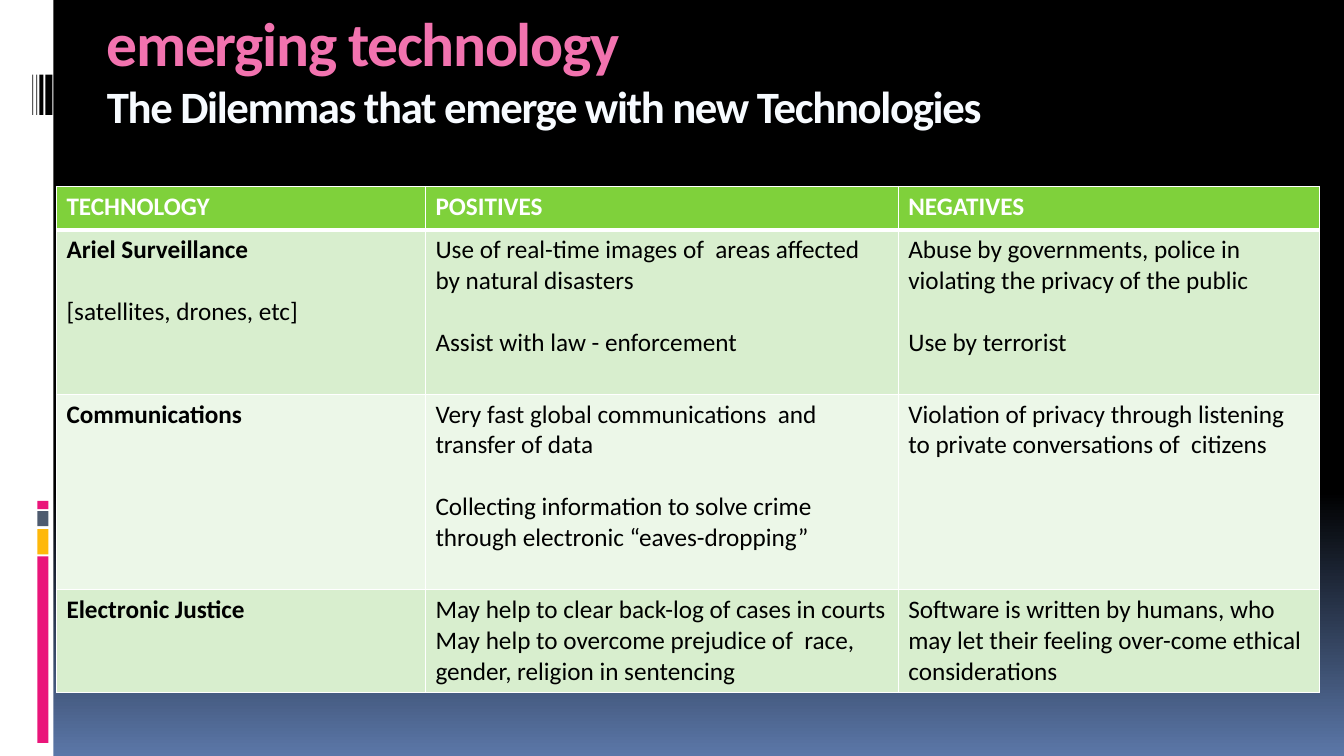
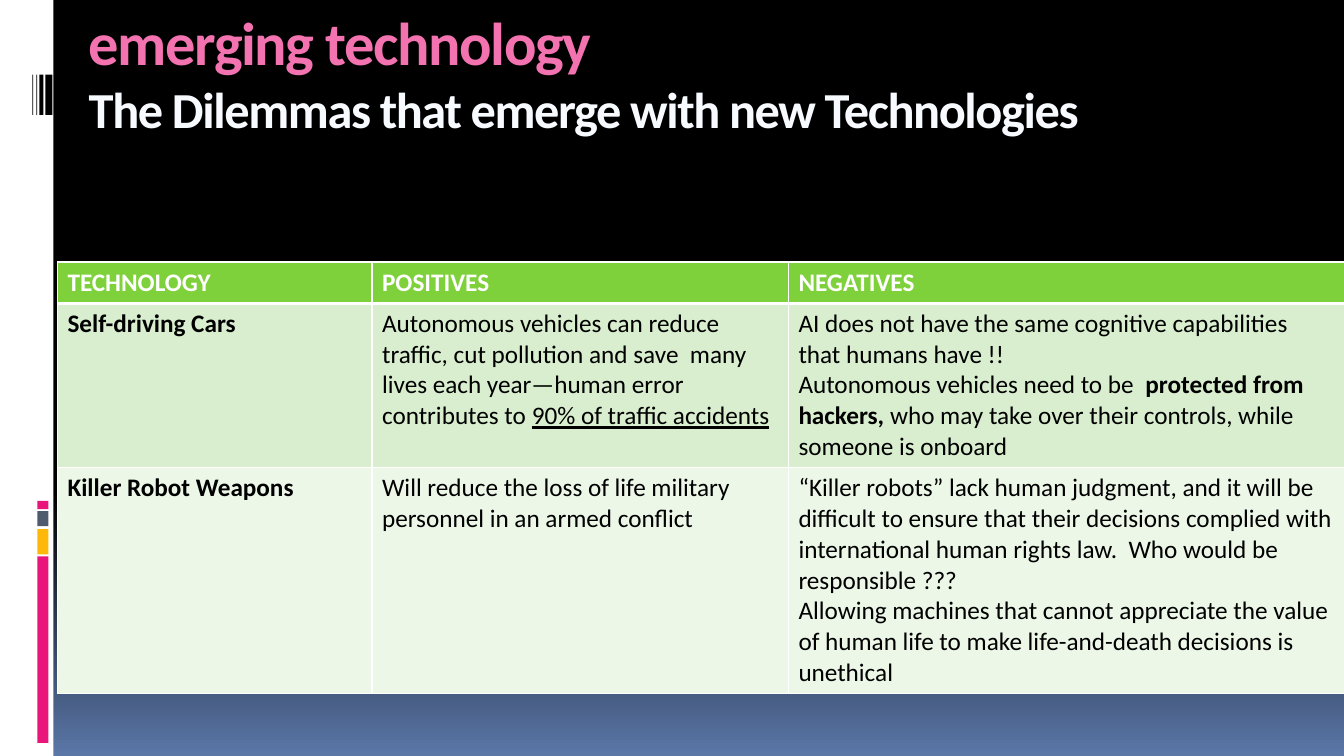
import pptx
import pptx.dml.color
import pptx.enum.shapes
import pptx.enum.text
import pptx.oxml
import pptx.oxml.ns
import pptx.util

Inches, Pt = pptx.util.Inches, pptx.util.Pt

FONT = "Calibri"
BLACK, WHITE = "000000", "FFFFFF"
PINK, AMBER, SLATE, SKY = "EA157A", "FEB80A", "4E5B6F", "5B77A8"
TITLE_PINK, TITLE_WHITE = "F273AF", "F7FBFF"
HEADER_GREEN, ROW_GREENS = "7FD13B", ("D8EECE", "ECF7E8")

TITLE = ("emerging technology", "The Dilemmas that emerge with new Technologies")
HEADERS = ("TECHNOLOGY", "POSITIVES", "NEGATIVES")
BOLD, UNDERLINE = {"bold": True}, {"underline": True}

# left, top, width, height, colour
SIDE_BAND = [(0, 0, 0.53, 7.5, WHITE)]
COLOUR_BARS = [(0.37, top, 0.11, height, colour) for top, height, colour in (
    (5.52, 1.85, PINK), (5.25, 0.25, AMBER), (5.07, 0.15, SLATE), (4.97, 0.08, PINK))]
BLACK_STRIPES = [(left, 0.74, width, 0.4, BLACK) for left, width in (
    (0.45, 0.07), (0.39, 0.04), (0.36, 0.01), (0.32, 0.01))]

# A cell is a list of paragraphs, a paragraph a list of (text, format) runs.
# "gap" is the space in points between the paragraphs of a row's cells.
SLIDES = [
    {
        "title_box": (0.96, 0, 10.71, 1.67), "title_sizes": (44, 32),
        "table_at": (0.56, 1.85), "columns": (3.66, 4.69, 4.18), "header_height": 0.43,
        "rows": [
            {"height": 1.63, "gap": 22, "cells": [
                [[("Ariel Surveillance", BOLD)], [("[satellites, drones, etc]", {})]],
                [[("Use of real-time images of  areas affected by natural disasters", {})],
                 [("Assist with law - enforcement", {})]],
                [[("Abuse by governments, police in violating the privacy of the public", {})],
                 [("Use by terrorist", {})]]]},
            {"height": 1.94, "gap": 22, "cells": [
                [[("Communications", BOLD)]],
                [[("Very fast global communications  and transfer of data", {})],
                 [("Collecting information to solve crime through electronic “eaves-dropping”", {})]],
                [[("Violation of privacy through listening to private conversations of  citizens", {})]]]},
            {"height": 1.02, "gap": 0, "cells": [
                [[("Electronic Justice", BOLD)]],
                [[("May help to clear back-log of cases in courts", {})],
                 [("May help to overcome prejudice of  race, gender, religion in sentencing", {})]],
                [[("Software is written by humans, who may let their feeling over-come "
                   "ethical considerations", {})]]]},
        ],
    },
    {
        "title_box": (0.78, 0, 10.8, 1.65), "title_sizes": (43.2, 36),
        "table_at": (0.57, 2.6), "columns": (3.12, 4.13, 5.52), "header_height": 0.41,
        "rows": [
            {"height": 1.63, "gap": 0, "cells": [
                [[("Self-driving Cars", BOLD)]],
                [[("Autonomous vehicles can reduce traffic, cut pollution and save  many lives "
                   "each year—human error contributes to ", {}),
                  ("90% of traffic accidents", UNDERLINE)]],
                [[("AI does not have the same cognitive capabilities that humans have !!", {})],
                 [("Autonomous vehicles need to be  ", {}), ("protected from hackers, ", BOLD),
                  ("who may take over their controls, while someone is onboard", {})]]]},
            {"height": 2.23, "gap": 0, "cells": [
                [[("Killer Robot Weapons", BOLD)]],
                [[("Will reduce the loss of life military personnel in an armed conflict", {})]],
                [[("“Killer robots” lack human judgment, and it will be difficult to ensure that "
                   "their decisions complied with international human rights law.  Who would be "
                   "responsible ???", {})],
                 [("Allowing machines that cannot appreciate the value of human life to make "
                   "life-and-death decisions is unethical", {})]]]},
        ],
    },
]


def rgb(colour):
    return pptx.dml.color.RGBColor.from_string(colour)


def add_run(paragraph, text, size, colour, **formats):
    run = paragraph.add_run()
    run.text = text
    run.font.color.rgb = rgb(colour)
    values = {"name": FONT, "size": Pt(size), "bold": False, **formats}
    for name, value in values.items():
        setattr(run.font, name, value)
    return run


def set_background(master):
    fill = master.background.fill
    fill.gradient()
    fill.gradient_angle = 270
    for stop, position, colour in zip(fill.gradient_stops, (0.65, 1), (BLACK, SKY)):
        stop.position = position
        stop.color.rgb = rgb(colour)


def decorate_layout(layout, slide):
    """Draw the side band on a slide, then move it to the layout all slides share."""
    for number, (*box, colour) in enumerate(SIDE_BAND + COLOUR_BARS + BLACK_STRIPES):
        shape = slide.shapes.add_shape(
            pptx.enum.shapes.MSO_SHAPE.RECTANGLE, *map(Inches, box))
        shape.shadow.inherit = False
        shape.fill.solid()
        shape.fill.fore_color.rgb = rgb(colour)
        shape.line.fill.background()
        shape.element.nvSpPr.cNvPr.id = 100 + number
        layout.shapes.element.append(shape.element)


def write_title(title, box, sizes):
    title.left, title.top, title.width, title.height = map(Inches, box)
    frame = title.text_frame
    frame.word_wrap = True
    frame.auto_size = pptx.enum.text.MSO_AUTO_SIZE.NONE
    frame.vertical_anchor = pptx.enum.text.MSO_ANCHOR.TOP
    paragraph = frame.paragraphs[0]
    paragraph.alignment = pptx.enum.text.PP_ALIGN.LEFT
    for number, (text, size, colour) in enumerate(
            zip(TITLE, sizes, (TITLE_PINK, TITLE_WHITE))):
        if number:
            paragraph.add_line_break()
        run = add_run(paragraph, text, size, colour, bold=True)
        run.font._element.set("spc", "-100")


def set_borders(cell, **widths):
    properties = cell._tc.get_or_add_tcPr()
    for position, side in enumerate("LRTB"):
        width = Pt(widths.get(side, 1))
        properties.insert(position, pptx.oxml.parse_xml(
            f'<a:ln{side} {pptx.oxml.ns.nsdecls("a")} w="{width}"><a:solidFill>'
            f'<a:srgbClr val="{WHITE}"/></a:solidFill></a:ln{side}>'))


def fill_cell(cell, paragraphs, fill, colour, gap=0, **borders):
    cell.fill.solid()
    cell.fill.fore_color.rgb = rgb(fill)
    set_borders(cell, **borders)
    frame = cell.text_frame
    for number, runs in enumerate(paragraphs):
        paragraph = frame.add_paragraph() if number else frame.paragraphs[0]
        if number and gap:
            paragraph.space_before = Pt(gap)
        for text, formats in runs:
            add_run(paragraph, text, 18, colour, **formats)


def add_comparison(slide, content):
    rows, columns = content["rows"], content["columns"]
    heights = [content["header_height"]] + [row["height"] for row in rows]
    left, top = content["table_at"]
    table = slide.shapes.add_table(
        len(heights), len(columns), Inches(left), Inches(top),
        Inches(sum(columns)), Inches(sum(heights))).table
    table.horz_banding = False
    for column, width in zip(table.columns, columns):
        column.width = Inches(width)
    for table_row, height in zip(table.rows, heights):
        table_row.height = Inches(height)
    for cell, text in zip(table.rows[0].cells, HEADERS):
        fill_cell(cell, [[(text, BOLD)]], HEADER_GREEN, WHITE, B=3)
    for number, row in enumerate(rows):
        for cell, paragraphs in zip(table.rows[number + 1].cells, row["cells"]):
            fill_cell(cell, paragraphs, ROW_GREENS[number % 2], BLACK, row["gap"],
                      T=1 if number else 3)


def main():
    presentation = pptx.Presentation()
    presentation.slide_width, presentation.slide_height = Inches(13.33), Inches(7.5)
    set_background(presentation.slide_master)
    layout = presentation.slide_layouts.get_by_name("Title Only")
    for number, content in enumerate(SLIDES):
        slide = presentation.slides.add_slide(layout)
        if number == 0:
            decorate_layout(layout, slide)
        write_title(slide.shapes.title, content["title_box"], content["title_sizes"])
        add_comparison(slide, content)
    presentation.save("out.pptx")


if __name__ == "__main__":
    main()
